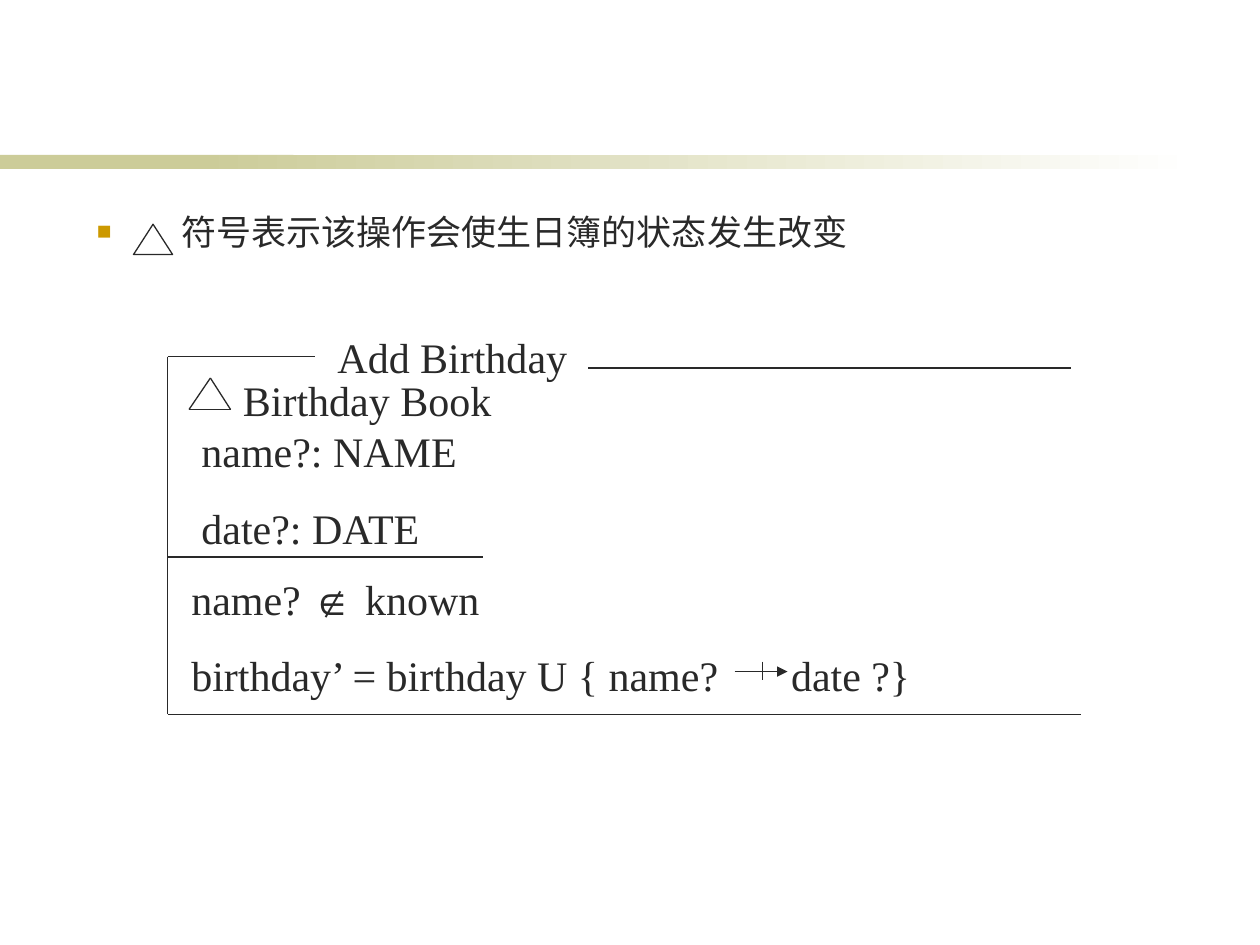
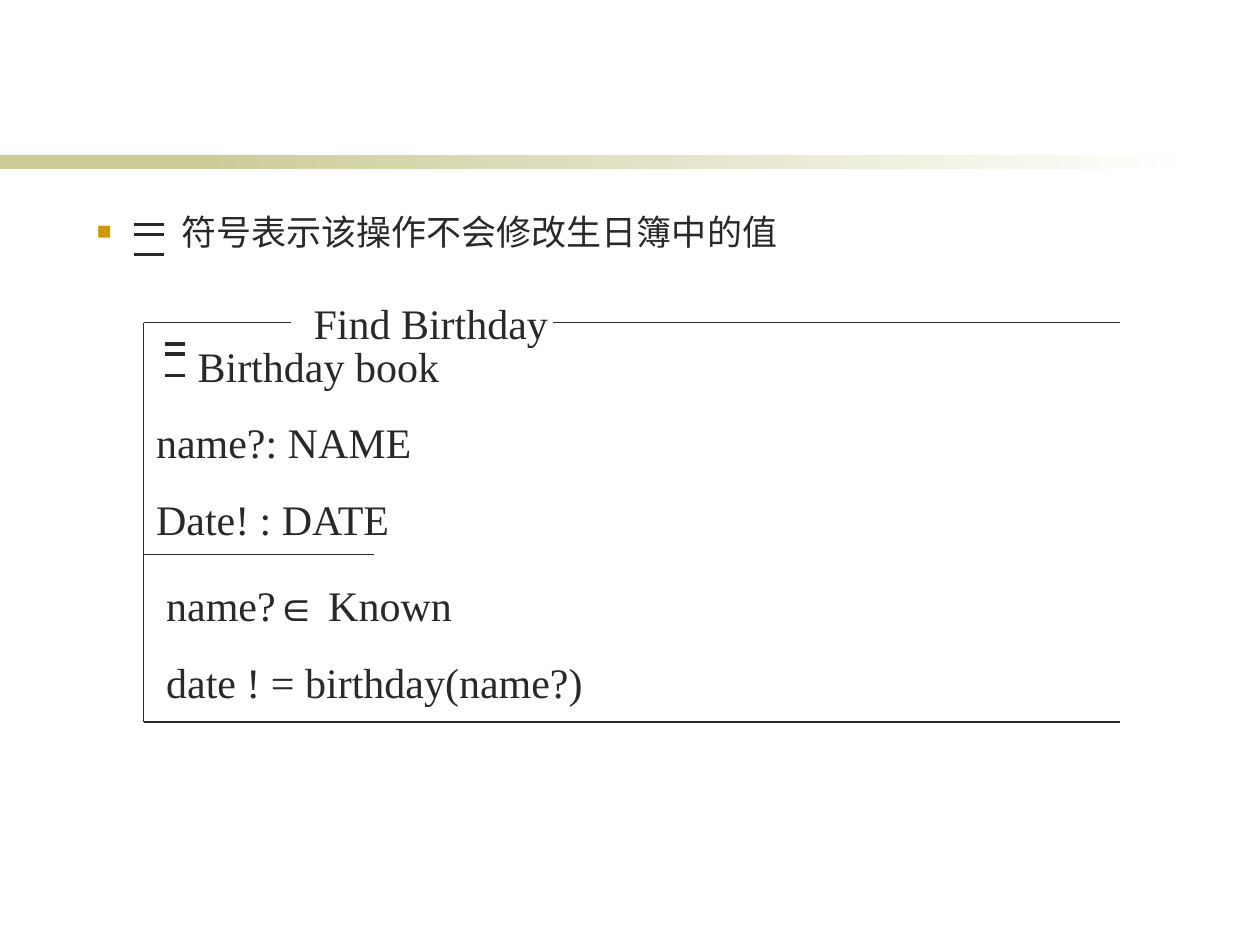
"""Build two slides that explain the state symbols of Z schemas for a birthday book."""
import pptx
import pptx.dml.color
import pptx.enum.dml
import pptx.enum.shapes
import pptx.oxml
import pptx.oxml.ns
import pptx.util
from lxml import etree
from pptx.util import Inches

COLOURS = {"ink": "292929", "band": "CCCC99", "fade": "FFFFFF", "bullet": "CC9900"}
BODY_FONT, SYMBOL_FONT = "Times New Roman", "Arial"
BAND_TOP, BAND_HEIGHT = 1.23, 0.11
NAMESPACE = pptx.oxml.ns.nsdecls("a")


def add_line(page, x1, y1, x2, y2, width=0.75):
    line = page.shapes.add_connector(
        pptx.enum.shapes.MSO_CONNECTOR.STRAIGHT, Inches(x1), Inches(y1), Inches(x2), Inches(y2))
    line.line.color.rgb = pptx.dml.color.RGBColor.from_string(COLOURS["ink"])
    line.line.width = pptx.util.Pt(width)
    etree.SubElement(line._element.spPr, pptx.oxml.ns.qn("a:effectLst"))
    return line


def add_text(page, left, top, width, height, paragraphs, size=24, space=15):
    box = page.shapes.add_textbox(Inches(left), Inches(top), Inches(width), Inches(height))
    frame = box.text_frame
    frame.word_wrap = True
    for index, spans in enumerate(paragraphs):
        para = frame.add_paragraph() if index else frame.paragraphs[0]
        para.space_before = pptx.util.Pt(space)
        for text, font in spans:
            span = para.add_run()
            span.text = text
            span.font.name = font
            span.font.size = pptx.util.Pt(size)
            span.font.color.rgb = pptx.dml.color.RGBColor.from_string(COLOURS["ink"])
    return frame


deck = pptx.Presentation()
deck.slide_width, deck.slide_height = Inches(10), Inches(7.5)

headlines = ["符号表示该操作会使生日簿的状态发生改变", "符号表示该操作不会修改生日簿中的值"]
pages = []
for headline in headlines:
    page = deck.slides.add_slide(deck.slide_layouts[6])
    pages.append(page)
    for left, width, faded in [(0, 2.33, False), (1.58, 7.92, True)]:
        band = page.shapes.add_shape(
            pptx.enum.shapes.MSO_SHAPE.RECTANGLE,
            Inches(left), Inches(BAND_TOP), Inches(width), Inches(BAND_HEIGHT))
        band.shadow.inherit = False
        band.line.fill.background()
        if faded:
            band.fill.gradient()
            band.fill.gradient_angle = 0
            for stop, name, position in zip(band.fill.gradient_stops, ["band", "fade"], [0, 1]):
                stop.color.rgb = pptx.dml.color.RGBColor.from_string(COLOURS[name])
                stop.position = position
        else:
            band.fill.solid()
            band.fill.fore_color.rgb = pptx.dml.color.RGBColor.from_string(COLOURS["band"])

    frame = add_text(page, 0.67, 1.62, 8.66, 2.2, [[(headline, SYMBOL_FONT)]], size=20, space=5)
    properties = frame.paragraphs[0]._p.get_or_add_pPr()
    properties.set("marL", str(Inches(0.67)))
    properties.set("indent", str(-Inches(0.67)))
    for bullet_part in [
        f'<a:buClr {NAMESPACE}><a:srgbClr val="{COLOURS["bullet"]}"/></a:buClr>',
        f'<a:buSzPct {NAMESPACE} val="70000"/>',
        f'<a:buFont {NAMESPACE} typeface="{SYMBOL_FONT}"/>',
        f'<a:buChar {NAMESPACE} char="■"/>',
    ]:
        properties.append(pptx.oxml.parse_xml(bullet_part))

add_page, find_page = pages

delta = add_page.shapes.add_shape(
    pptx.enum.shapes.MSO_SHAPE.ISOSCELES_TRIANGLE,
    Inches(1.06), Inches(1.78), Inches(0.31), Inches(0.24))
delta.shadow.inherit = False
delta.fill.background()
delta.line.color.rgb = pptx.dml.color.RGBColor.from_string(COLOURS["ink"])
delta.line.width = pptx.util.Pt(0.75)

add_schema_lines = [
    (1.33, 2.83, 2.5, 2.83), (4.67, 2.92, 8.5, 2.92), (1.33, 2.83, 1.33, 5.67),
    (1.33, 4.42, 3.83, 4.42), (1.33, 5.67, 8.58, 5.67),
]
small_delta_lines = [(1.67, 3, 1.5, 3.25), (1.67, 3, 1.83, 3.25), (1.5, 3.25, 1.83, 3.25)]
partial_arrow_bar = (6.05, 5.25, 6.05, 5.4)
for ends in add_schema_lines + small_delta_lines + [partial_arrow_bar]:
    add_line(add_page, *ends)
partial_arrow = add_line(add_page, 5.83, 5.33, 6.25, 5.33)
partial_arrow.line._get_or_add_ln().append(
    pptx.oxml.parse_xml(f'<a:tailEnd {NAMESPACE} type="triangle"/>'))

add_text(add_page, 2.58, 2.58, 2.17, 0.5, [[("Add Birthday", BODY_FONT)]])
add_text(add_page, 1.83, 2.92, 3.5, 0.5, [[("Birthday Book", BODY_FONT)]])
add_text(add_page, 1.5, 3.33, 3.42, 1.11,
         [[("name?: NAME", BODY_FONT)], [("date?: DATE", BODY_FONT)]])
predicate = add_text(add_page, 1.42, 4.5, 8, 1.11, [
    [("name? ", BODY_FONT), ("∉ ", SYMBOL_FONT), ("known", BODY_FONT)],
    [("birthday’ = birthday U { name?\tdate ?}", BODY_FONT)],
])
predicate.paragraphs[1]._p.get_or_add_pPr().append(pptx.oxml.parse_xml(
    f'<a:tabLst {NAMESPACE}><a:tab pos="{Inches(4.76)}" algn="l"/></a:tabLst>'))

find_schema_lines = [
    (1.14, 2.56, 2.31, 2.56), (4.39, 2.56, 8.89, 2.56), (1.14, 2.56, 1.14, 5.73),
    (1.14, 4.4, 2.97, 4.4), (1.14, 5.73, 8.89, 5.73),
]
for ends in find_schema_lines:
    add_line(find_page, *ends)
for left, right, heights, width in [
    (1.06, 1.3, [1.78, 1.86, 2.02], 1.75), (1.31, 1.47, [2.73, 2.81, 2.98], 2.25),
]:
    for height in heights:
        add_line(find_page, left, height, right, height, width)

add_text(find_page, 2.39, 2.31, 2.08, 0.5, [[("Find Birthday", BODY_FONT)]])
declarations = add_text(find_page, 1.14, 2.65, 5.25, 1.72, [
    [(text, BODY_FONT)] for text in ["Birthday book", "name?: NAME", "Date! : DATE"]])
declarations.paragraphs[0]._p.get_or_add_pPr().set("marL", str(Inches(0.33)))
add_text(find_page, 1.22, 4.55, 5.75, 1.11, [
    [("name?", BODY_FONT), ("∈", SYMBOL_FONT), (" Known", BODY_FONT)],
    [("date ! = birthday(name?)", BODY_FONT)],
])

deck.save("out.pptx")
